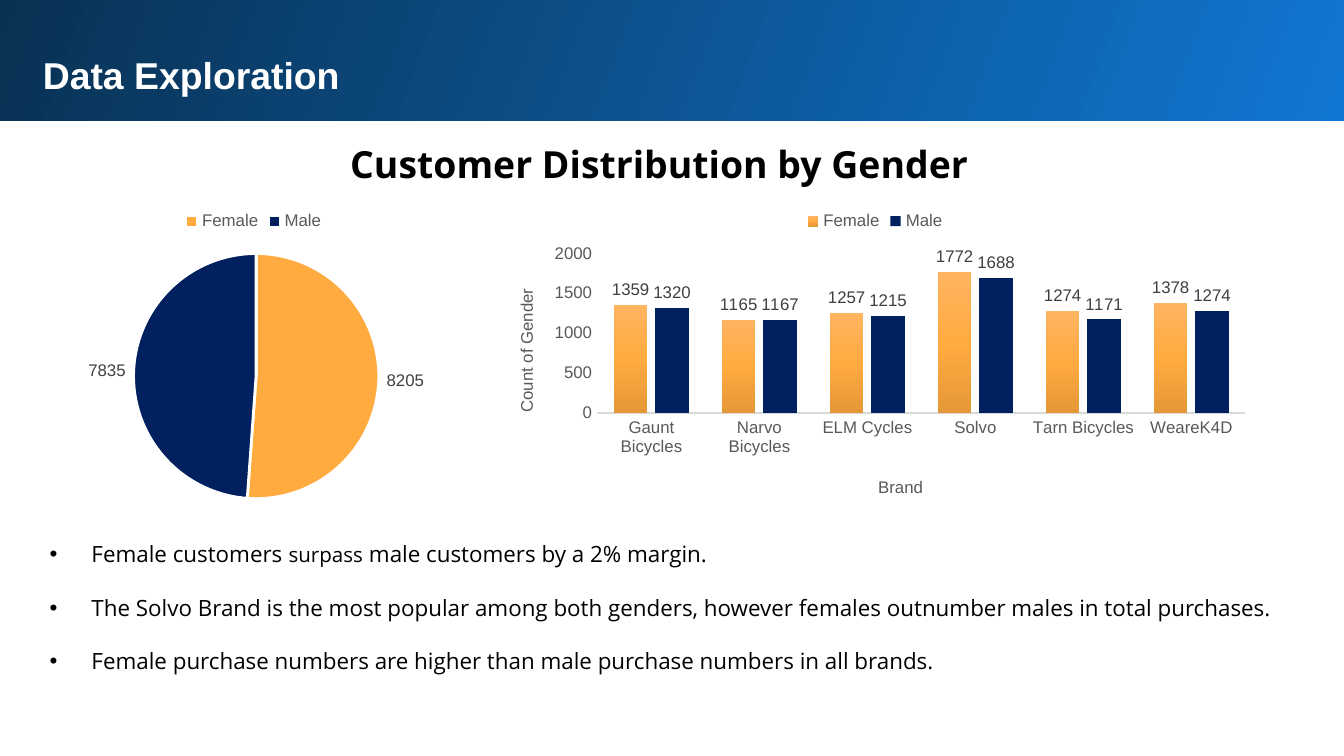
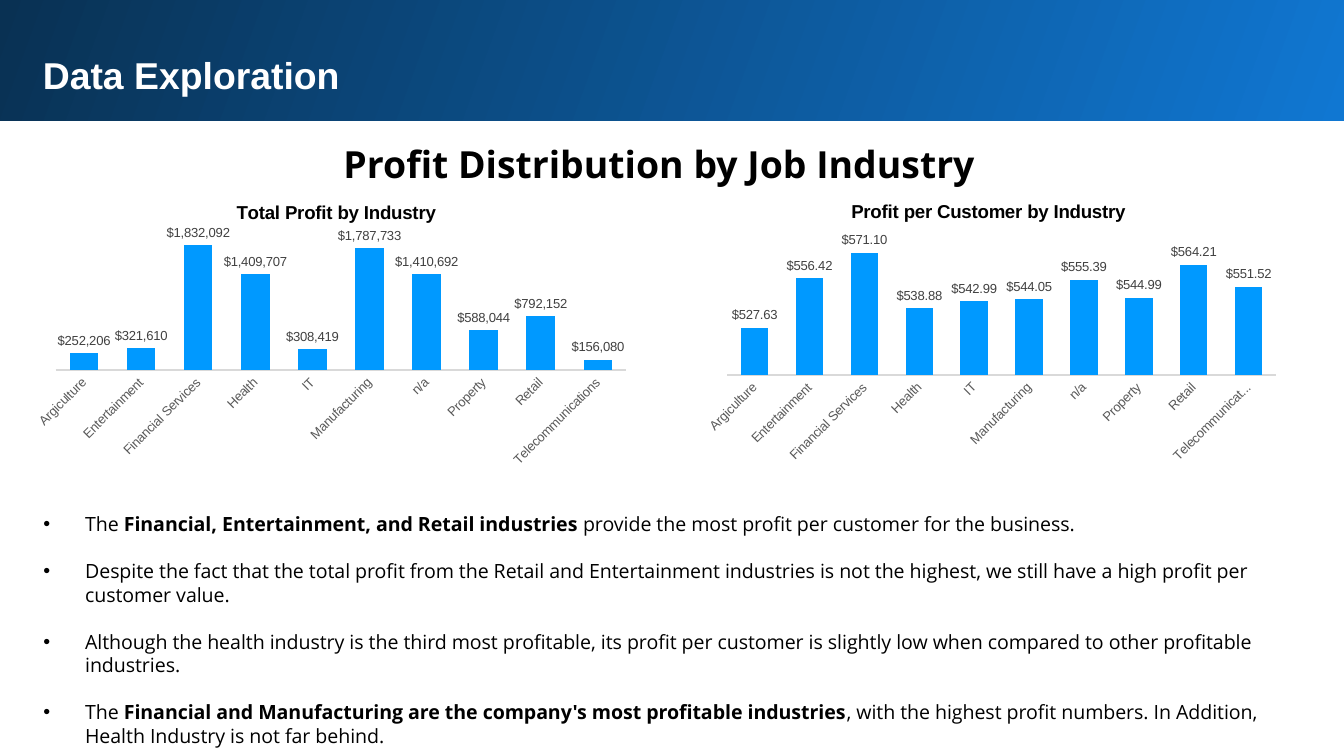
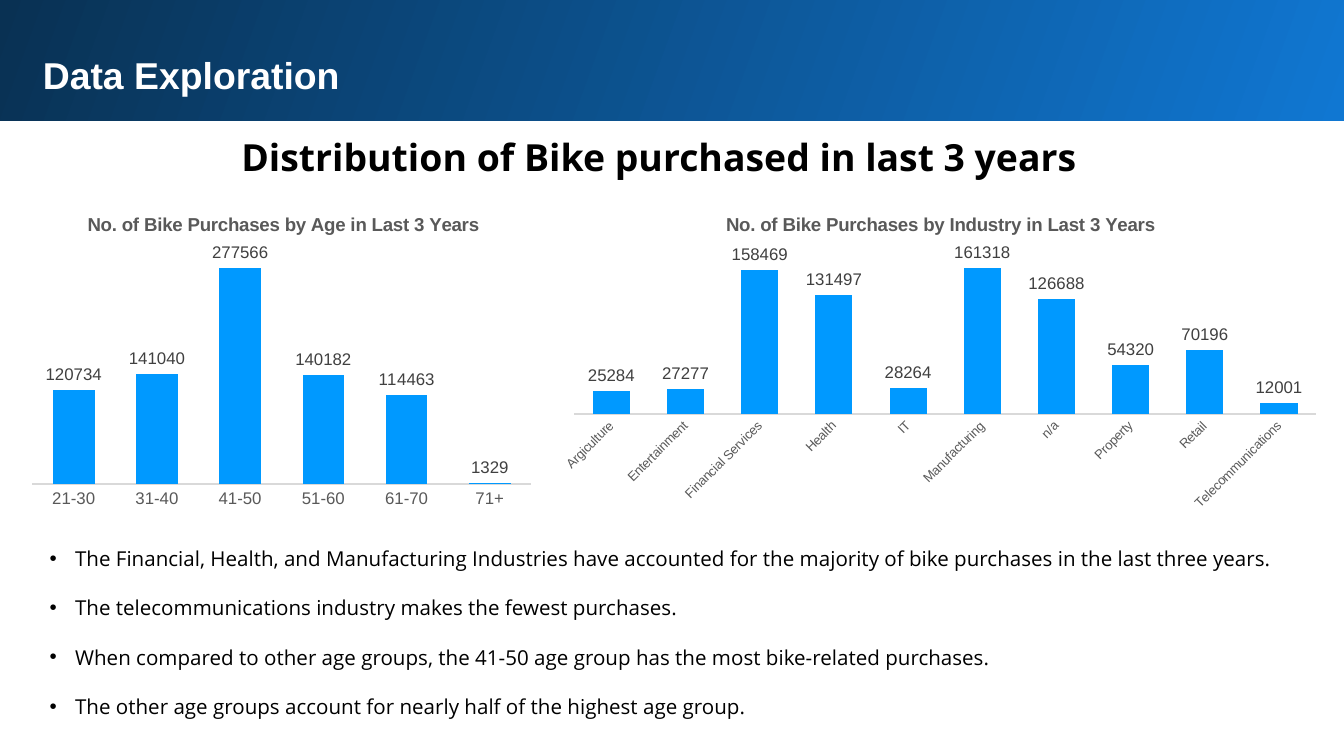
"""Build three data exploration slides, each with two charts and bullet points."""
from copy import deepcopy

from lxml.etree import SubElement
from pptx import Presentation
from pptx.chart.data import CategoryChartData
from pptx.dml.color import RGBColor
from pptx.enum.chart import XL_CHART_TYPE as ChartType
from pptx.enum.chart import XL_LABEL_POSITION as LabelPosition
from pptx.enum.chart import XL_LEGEND_POSITION as LegendPosition
from pptx.enum.chart import XL_TICK_MARK as TickMark
from pptx.enum.shapes import MSO_SHAPE as Preset
from pptx.enum.text import MSO_AUTO_SIZE as AutoSize
from pptx.enum.text import PP_ALIGN as Align
from pptx.oxml.ns import qn
from pptx.util import Cm, Pt

HEADING_FONT, BODY_FONT = "Arial", "Open Sans"
BLACK, WHITE = "000000", "FFFFFF"
GREY, LABEL_GREY, AXIS_GREY = "595959", "404040", "D9D9D9"
NAVY, BLUE, ORANGE = "002060", "0099FF", "FFAB40"
BAND_GRADIENT = ["1077D2", "093153"]
ORANGE_GRADIENT = ["FFB461", ORANGE, "E59837"]
LINE_FACTOR = 1.2

INDUSTRIES = ["Argiculture", "Entertainment", "Financial Services", "Health", "IT",
              "Manufacturing", "n/a", "Property", "Retail", "Telecommunications"]
BRANDS = ["Gaunt Bicycles", "Narvo Bicycles", "ELM Cycles", "Solvo", "Tarn Bicycles", "WeareK4D"]

BOLD = {"bold": True}

SLIDES = [
    {
        "title": "Customer Distribution by Gender", "spacing": 1.15,
        "charts": [
            {"box": (0.56, 3.71, 8.48, 6.02), "plot": (0.23, 0.18, 0.55, 0.77),
             "pie": [ORANGE, NAVY], "categories": ["Female", "Male"],
             "series": [("Series 1", [8205, 7835], None)]},
            {"box": (9.25, 3.71, 14.58, 6.02), "plot": (0.14, 0.18, 0.84, 0.5),
             "categories": BRANDS, "scale": (0, 2000, 500), "legend": True,
             "axis_titles": [("Brand", 0.5, 0.87), ("Count of Gender", 0.03, 0.28)],
             "series": [("Female", [1359, 1165, 1257, 1772, 1274, 1378], ORANGE_GRADIENT),
                        ("Male", [1320, 1167, 1215, 1688, 1171, 1274], NAVY)]},
        ],
        "box": (0.81, 10.08, 23.8, 2.82), "size": 12, "indent": 0.79,
        "bullets": [
            [("Female customers ", {}), ("surpass", {"size": 11}),
             (" male customers by a 2% margin.", {})],
            [("The Solvo Brand is the most popular among both genders, however females "
              "outnumber males in total purchases.", {})],
            [("Female purchase numbers are higher than male purchase numbers in all brands.", {})],
        ],
    },
    {
        "title": "Profit Distribution by Job Industry", "spacing": 1.15,
        "charts": [
            {"box": (0.33, 3.56, 11.99, 5.38), "plot": (0.06, 0.16, 0.9, 0.48),
             "title": ("Total Profit by Industry", 0.34, 0.03), "title_color": BLACK,
             "categories": INDUSTRIES, "scale": (0, 2000000, 500000), "slanted": True,
             "format": '"$"#,##0', "label_size": 7,
             "series": [("Series 1", [252206, 321610, 1832092, 1409707, 308419, 1787733,
                                      1410692, 588044, 792152, 156080], BLUE)]},
            {"box": (13.06, 3.71, 11.4, 5.21), "plot": (0.06, 0.15, 0.91, 0.5),
             "title": ("Profit per Customer by Industry", 0.26, 0), "title_color": BLACK,
             "categories": INDUSTRIES, "scale": (500, 580, 10), "slanted": True,
             "format": '"$"#,##0.00', "label_size": 7,
             "series": [("Series 1", [527.63, 556.42, 571.1, 538.88, 542.99, 544.05,
                                      555.39, 544.99, 564.21, 551.52], BLUE)]},
        ],
        "box": (0.69, 9.55, 23.8, 4.75), "size": 10.5, "indent": 0.79,
        "bullets": [
            [("The ", {}), ("Financial, Entertainment, and Retail industries ", BOLD),
             ("provide the most profit per customer for the business.", {})],
            [("Despite the fact that the total profit from the Retail and Entertainment industries "
              "is not the highest, we still have a high profit per customer value.", {})],
            [("Although the health industry is the third most profitable, its profit per customer "
              "is slightly low when compared to other profitable industries.", {})],
            [("The ", {}),
             ("Financial and Manufacturing are the company's most profitable industries", BOLD),
             (", with the highest profit numbers. In Addition, Health Industry is not far behind.",
              {})],
        ],
    },
    {
        "title": "Distribution of Bike purchased in last 3 years", "spacing": 1,
        "charts": [
            {"box": (0.41, 3.71, 9.83, 6.05), "plot": (0.02, 0.17, 0.96, 0.73),
             "title": ("No. of Bike Purchases by Age in Last 3 Years", 0.12, 0.04),
             "categories": ["21-30", "31-40", "41-50", "51-60", "61-70", "71+"],
             "scale": (0, 300000, 50000),
             "series": [("Series 1", [120734, 141040, 277566, 140182, 114463, 1329], BLUE)]},
            {"box": (10.41, 3.71, 14.76, 6.05), "plot": (0.03, 0.17, 0.95, 0.51),
             "title": ("No. of Bike Purchases by Industry in Last 3 Years", 0.22, 0.04),
             "categories": INDUSTRIES, "scale": (0, 180000, 20000), "slanted": True,
             "series": [("Series 1", [25284, 27277, 158469, 131497, 28264, 161318,
                                      126688, 54320, 70196, 12001], BLUE)]},
        ],
        "box": (0.81, 10.19, 23.8, 3.56), "size": 11, "indent": 0.48,
        "bullets": [
            [("The Financial, Health, and Manufacturing Industries have accounted for the majority "
              "of bike purchases in the last three years.", {})],
            [("The telecommunications industry makes the fewest purchases.", {})],
            [("When compared to other age groups, the 41-50 age group has the most bike-related "
              "purchases.", {})],
            [("The other age groups account for nearly half of the highest age group.", {})],
        ],
    },
]


def color(value):
    return RGBColor.from_string(value)


def set_font(font, size, value, bold=False, name=HEADING_FONT):
    font.name, font.size, font.bold = name, Pt(size), bold
    font.color.rgb = color(value)


def paint(fill, value):
    if isinstance(value, str):
        fill.solid()
        fill.fore_color.rgb = color(value)
    else:
        gradient(fill, value, 90)


def gradient(fill, colors, clockwise_angle):
    fill.gradient()
    fill.gradient_angle = 360 - clockwise_angle
    stops = fill.gradient_stops
    stops[0].color.rgb, stops[1].color.rgb = color(colors[0]), color(colors[-1])
    stops[0].position, stops[1].position = 0, 1
    if len(colors) == 3:
        first = stops[0]._gs
        first.addnext(deepcopy(first))
        middle = fill.gradient_stops[1]
        middle.position, middle.color.rgb = 0.5, color(colors[1])


def add_text_frame(slide, box, margin):
    frame = slide.shapes.add_textbox(*map(Cm, box)).text_frame
    frame.word_wrap, frame.auto_size = True, AutoSize.SHAPE_TO_FIT_TEXT
    frame.margin_left = frame.margin_right = frame.margin_top = frame.margin_bottom = Cm(margin)
    return frame


def add_run(paragraph, text, *font):
    run = paragraph.add_run()
    run.text = text
    set_font(run.font, *font)


def add_header(slide, title, spacing):
    band = slide.shapes.add_shape(Preset.RECTANGLE, Cm(0), Cm(-0.05), Cm(25.4), Cm(2.33))
    band.shadow.inherit = False
    band.line.fill.background()
    gradient(band.fill, BAND_GRADIENT, 200)
    section = add_text_frame(slide, (0.56, 0.74, 23.8, 1.37), 0.25).paragraphs[0]
    add_run(section, "Data Exploration", 20, WHITE, True)
    heading = add_text_frame(slide, (0.56, 2.29, 23.8, 1.42), 0.25).paragraphs[0]
    heading.alignment, heading.line_spacing = Align.CENTER, spacing
    add_run(heading, title, 20, BLACK, True, BODY_FONT)


def add_bullets(slide, box, bullets, size, indent):
    frame = add_text_frame(slide, box, 0.13)
    for index, runs in enumerate(bullets):
        paragraph = frame.add_paragraph() if index else frame.paragraphs[0]
        if index:
            paragraph.space_before = Pt(size * LINE_FACTOR)
        properties = paragraph._p.get_or_add_pPr()
        properties.set("marL", str(Cm(indent)))
        properties.set("indent", str(-Cm(indent)))
        SubElement(properties, qn("a:buFont")).set("typeface", HEADING_FONT)
        SubElement(properties, qn("a:buChar")).set("char", "•")
        for text, style in runs:
            add_run(paragraph, text, style.get("size", size), BLACK,
                    style.get("bold", False), BODY_FONT)


def place(element, position, index):
    for layout in element.findall(qn("c:layout")):
        element.remove(layout)
    layout = element.makeelement(qn("c:layout"), {})
    element.insert(index, layout)
    manual = SubElement(layout, qn("c:manualLayout"))
    settings = [("xMode", "edge"), ("yMode", "edge"), *zip("xywh", position)]
    if len(position) == 4:
        settings.insert(0, ("layoutTarget", "inner"))
    for tag, value in settings:
        SubElement(manual, qn("c:" + tag)).set("val", str(value))


def set_title(owner, frame, text, x, y, size, value, bold):
    add_run(frame.paragraphs[0], text, size, value, bold)
    place(owner._element, (x, y), 1)


def style_axes(chart, content):
    category_axis, value_axis = chart.category_axis, chart.value_axis
    for axis in (category_axis, value_axis):
        axis.major_tick_mark = axis.minor_tick_mark = TickMark.NONE
        axis.has_major_gridlines = False
        set_font(axis.tick_labels.font, 9, GREY)
    category_axis.format.line.color.rgb = color(AXIS_GREY)
    category_axis.format.line.width = Pt(1)
    value_axis.format.line.fill.background()
    value_axis.minimum_scale, value_axis.maximum_scale, value_axis.major_unit = content["scale"]
    titles = content.get("axis_titles", [])
    value_axis.visible = bool(titles)
    for axis, (text, x, y) in zip((category_axis, value_axis), titles):
        set_title(axis.axis_title, axis.axis_title.text_frame, text, x, y, 9, GREY, False)
    if content.get("slanted"):
        category_axis.tick_labels.font.size = Pt(7)
        body = category_axis._element.find(qn("c:txPr")).find(qn("a:bodyPr"))
        body.set("rot", str(-45 * 60000))


def add_chart(slide, content):
    number_format = content.get("format", "General")
    data = CategoryChartData(number_format=number_format)
    data.categories = content["categories"]
    for name, values, _ in content["series"]:
        data.add_series(name, values)
    pie = content.get("pie")
    kind = ChartType.PIE if pie else ChartType.COLUMN_CLUSTERED
    chart = slide.shapes.add_chart(kind, *map(Cm, content["box"]), data).chart
    set_font(chart.font, 10, BLACK)
    chart.has_title = "title" in content
    if chart.has_title:
        set_title(chart.chart_title, chart.chart_title.text_frame, *content["title"], 10,
                  content.get("title_color", GREY), True)
    chart.has_legend = bool(pie or content.get("legend"))
    if chart.has_legend:
        chart.legend.position = LegendPosition.TOP
        chart.legend.include_in_layout = False
        set_font(chart.legend.font, 9, GREY)
    plot = chart.plots[0]
    plot.vary_by_categories = bool(pie)
    plot.has_data_labels = True
    labels = plot.data_labels
    labels.show_value, labels.position = True, LabelPosition.OUTSIDE_END
    labels.number_format, labels.number_format_is_linked = number_format, False
    set_font(labels.font, content.get("label_size", 9), LABEL_GREY)
    if pie:
        series = plot.series[0]
        for index, value in enumerate(pie):
            style = series.points[index].format
            paint(style.fill, value)
            style.line.color.rgb, style.line.width = color(WHITE), Pt(1.5)
    else:
        plot.gap_width, plot.overlap = 100, -24
        for series, (_, _, value) in zip(plot.series, content["series"]):
            series.invert_if_negative = False
            paint(series.format.fill, value)
        style_axes(chart, content)
    place(chart._chartSpace.chart.plotArea, content["plot"], 0)


presentation = Presentation()
presentation.slide_width, presentation.slide_height = Cm(25.4), Cm(14.29)
for content in SLIDES:
    slide = presentation.slides.add_slide(presentation.slide_layouts[6])
    add_header(slide, content["title"], content["spacing"])
    add_bullets(slide, content["box"], content["bullets"], content["size"], content["indent"])
    for chart_content in content["charts"]:
        add_chart(slide, chart_content)
presentation.save("out.pptx")
